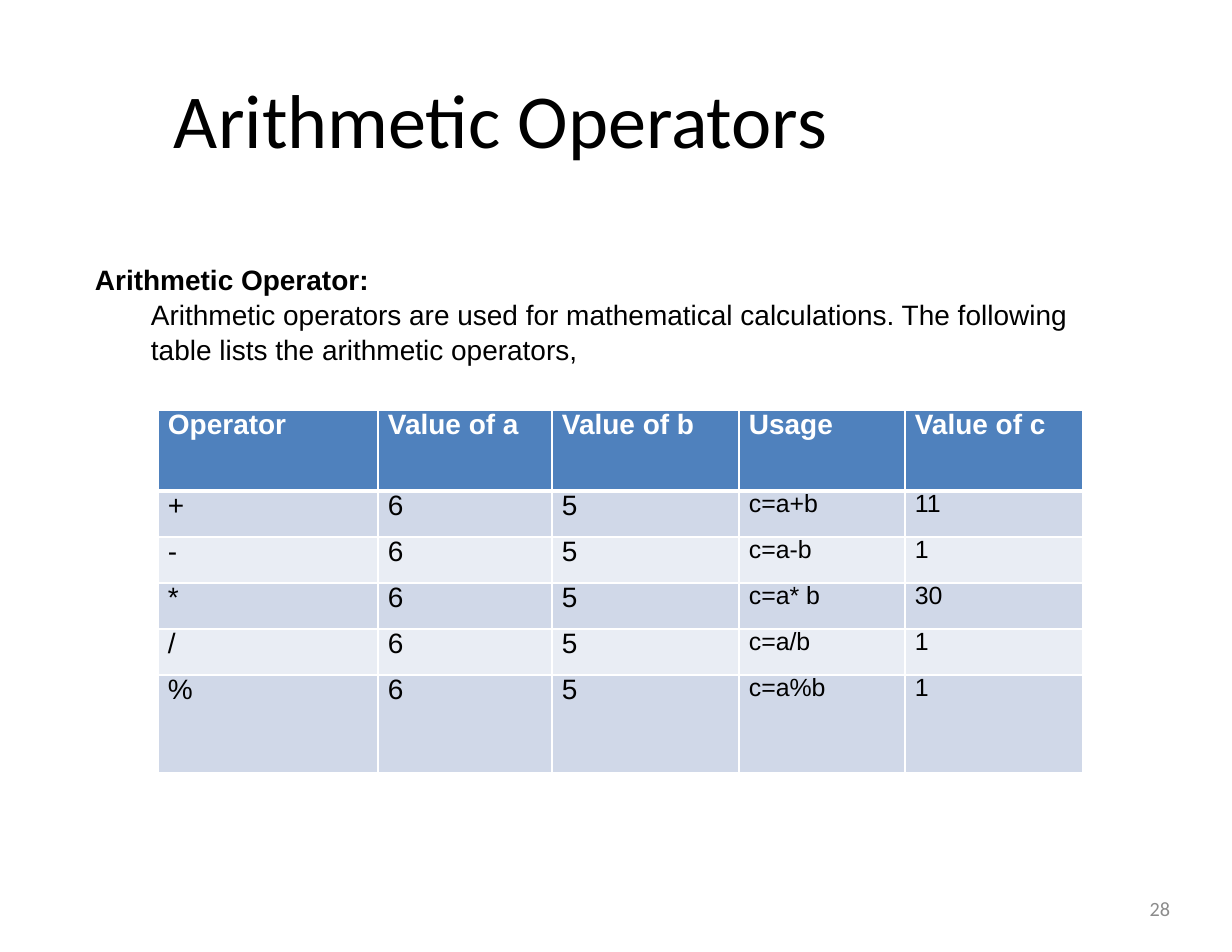
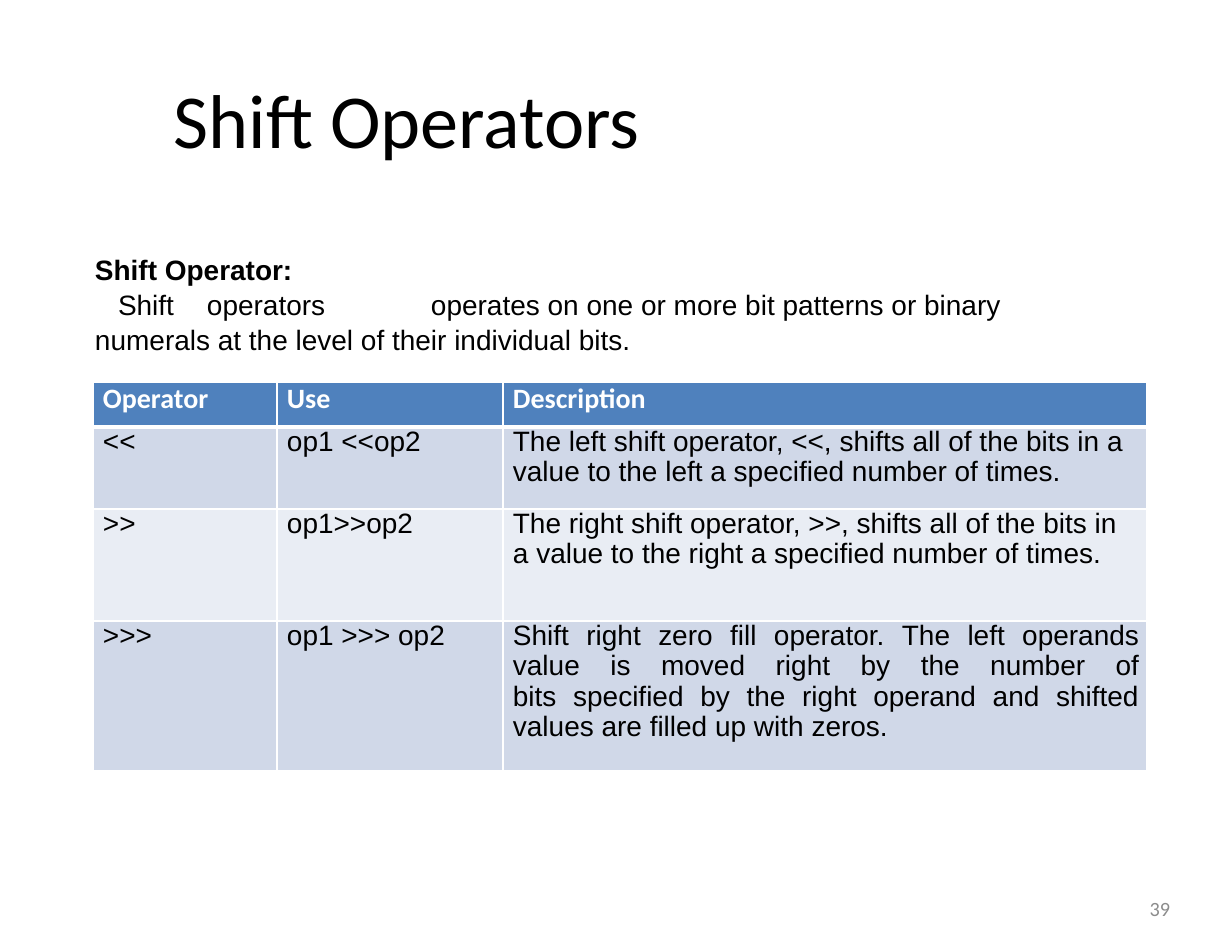
from dataclasses import dataclass

from lxml import etree
from pptx import Presentation
from pptx.dml.color import RGBColor
from pptx.enum.text import MSO_ANCHOR, PP_ALIGN
from pptx.oxml.ns import qn
from pptx.util import Pt


@dataclass(frozen=True)
class Theme:
    ink: str = "000000"
    white: str = "FFFFFF"
    muted: str = "8C8C8C"
    header: str = "4F81BD"
    bands: tuple = ("D0D8E8", "E9EDF4")
    heading_font: str = "Calibri"
    body_font: str = "Arial"
    title_size: int = 49
    body_size: int = 18
    small_size: int = 16
    page_size: int = 13
    body_spacing: float = 1.04
    table_spacing: float = 0.97
    thin: float = 1.1
    thick: float = 3.1


THEME = Theme()
SCALE = 914400 // 112


def px(n):
    return n * SCALE


def add_run(p, text, size, color=THEME.ink, font=THEME.body_font, bold=False, spacing=0):
    r = p.add_run()
    r.text = text
    r.font.size = Pt(size)
    r.font.name = font
    r.font.bold = bold
    r.font.color.rgb = RGBColor.from_string(color)
    if spacing:
        r.font._element.set("spc", str(spacing * 100))


def set_indent(p, left, first=0, tabs=()):
    pPr = p._p.get_or_add_pPr()
    pPr.set("marL", str(px(left)))
    pPr.set("indent", str(px(first)))
    if tabs:
        pPr.set("defTabSz", str(px(112)))
        tab_list = etree.SubElement(pPr, qn("a:tabLst"))
        for pos in tabs:
            etree.SubElement(tab_list, qn("a:tab"), pos=str(px(pos)), algn="l")


def add_box(s, box, anchor=MSO_ANCHOR.TOP):
    sp = s.shapes.add_textbox(*map(px, box))
    tf = sp.text_frame
    tf.word_wrap = True
    tf.vertical_anchor = anchor
    tf.margin_left = tf.margin_right = tf.margin_top = tf.margin_bottom = 0
    return tf


def add_title(s, box, text):
    p = add_box(s, box, MSO_ANCHOR.MIDDLE).paragraphs[0]
    set_indent(p, 112)
    add_run(p, text, THEME.title_size, font=THEME.heading_font)


def add_page_number(s, box, number):
    p = add_box(s, box, MSO_ANCHOR.MIDDLE).paragraphs[0]
    p.alignment = PP_ALIGN.RIGHT
    add_run(p, str(number), THEME.page_size, THEME.muted, THEME.heading_font)


def add_intro(s, box, heading, text, left, first=0, tabs=()):
    tf = add_box(s, box)
    p = tf.paragraphs[0]
    set_indent(p, 1)
    p.line_spacing = THEME.body_spacing
    add_run(p, heading, THEME.body_size, bold=True)
    p = tf.add_paragraph()
    set_indent(p, left, first, tabs)
    p.line_spacing = THEME.body_spacing
    add_run(p, text, THEME.body_size)


def set_borders(cell, bottom, top):
    tcPr = cell._tc.get_or_add_tcPr()
    widths = {"lnL": THEME.thin, "lnR": THEME.thin, "lnT": top, "lnB": bottom}
    for side, width in widths.items():
        ln = etree.SubElement(tcPr, qn(f"a:{side}"), w=str(Pt(width)))
        fill = etree.SubElement(ln, qn("a:solidFill"))
        etree.SubElement(fill, qn("a:srgbClr"), val=THEME.white)


def add_spread_text(p, parts, size):
    p.alignment = PP_ALIGN.JUSTIFY
    for text, gap in parts:
        if not gap:
            add_run(p, text, size)
            continue
        for word in text.split():
            add_run(p, word, size)
            add_run(p, " ", size, spacing=gap)


def add_operator_table(s, box, cols, heights, rows, header_font, sizes):
    table = s.shapes.add_table(len(rows), len(cols), *map(px, box)).table
    for col, width in zip(table.columns, cols):
        col.width = px(width)
    for i, (row, height, values) in enumerate(zip(table.rows, heights, rows)):
        row.height = px(height)
        for cell, value, size in zip(row.cells, values, sizes):
            cell.margin_left, cell.margin_right = px(10), px(8)
            cell.margin_top = cell.margin_bottom = 0
            set_borders(cell, THEME.thick if i == 0 else THEME.thin,
                        THEME.thick if i == 1 else THEME.thin)
            cell.fill.solid()
            color = THEME.bands[(i - 1) % 2] if i else THEME.header
            cell.fill.fore_color.rgb = RGBColor.from_string(color)
            p = cell.text_frame.paragraphs[0]
            p.line_spacing = THEME.table_spacing
            if i == 0:
                add_run(p, value, THEME.body_size, THEME.white, header_font, True)
            elif isinstance(value, str):
                add_run(p, value, size)
            else:
                add_spread_text(p, value, size)


def new_slide(prs, title, number):
    s = prs.slides.add_slide(prs.slide_layouts[6])
    add_title(s, (62, 72, 1109, 92), title)
    add_page_number(s, (883, 883, 287, 50), number)
    return s


def arithmetic_slide(prs):
    s = new_slide(prs, "Arithmetic Operators", 28)
    add_intro(s, (94, 261, 974, 99), "Arithmetic Operator:",
              "Arithmetic operators are used for mathematical calculations. "
              "The following table lists the arithmetic operators,", left=57)
    results = [("+", "c=a+b", "11"), ("-", "c=a-b", "1"), ("*", "c=a* b", "30"),
               ("/", "c=a/b", "1"), ("%", "c=a%b", "1")]
    rows = [("Operator", "Value of a", "Value of b", "Usage", "Value of c")]
    rows += [(op, "6", "5", usage, c) for op, usage, c in results]
    add_operator_table(s, (158, 410, 925, 363), (220, 174, 187, 166, 178),
                       (81, 46, 46, 46, 46, 98), rows, THEME.body_font,
                       [THEME.body_size] * 3 + [THEME.small_size] * 2)


def shift_slide(prs):
    s = new_slide(prs, "Shift Operators", 39)
    add_intro(s, (94, 251, 1001, 99), "Shift Operator:",
              "Shift\toperators\toperates on one or more bit patterns or binary "
              "numerals at the level of their individual bits.",
              left=1, first=23, tabs=(112, 336))
    zero_fill = (("Shift right zero fill operator. The left operands", 5),
                 ("value is moved right by the number of", 10),
                 ("bits specified by the right operand and shifted "
                  "values are filled up with zeros.", 0))
    rows = [("Operator", "Use", "Description"),
            ("<<", "op1 <<op2", "The left shift operator, <<, shifts all of the bits "
             "in a value to the left a specified number of times."),
            (">>", "op1>>op2", "The right shift operator, >>, shifts all of the bits "
             "in a value to the right a specified number of times."),
            (">>>", "op1 >>> op2", zero_fill)]
    add_operator_table(s, (93, 382, 1054, 389), (184, 226, 644), (45, 82, 112, 150),
                       rows, THEME.heading_font, [THEME.body_size] * 3)


def main():
    prs = Presentation()
    prs.slide_width, prs.slide_height = px(1232), px(952)
    arithmetic_slide(prs)
    shift_slide(prs)
    prs.save("out.pptx")


if __name__ == "__main__":
    main()
